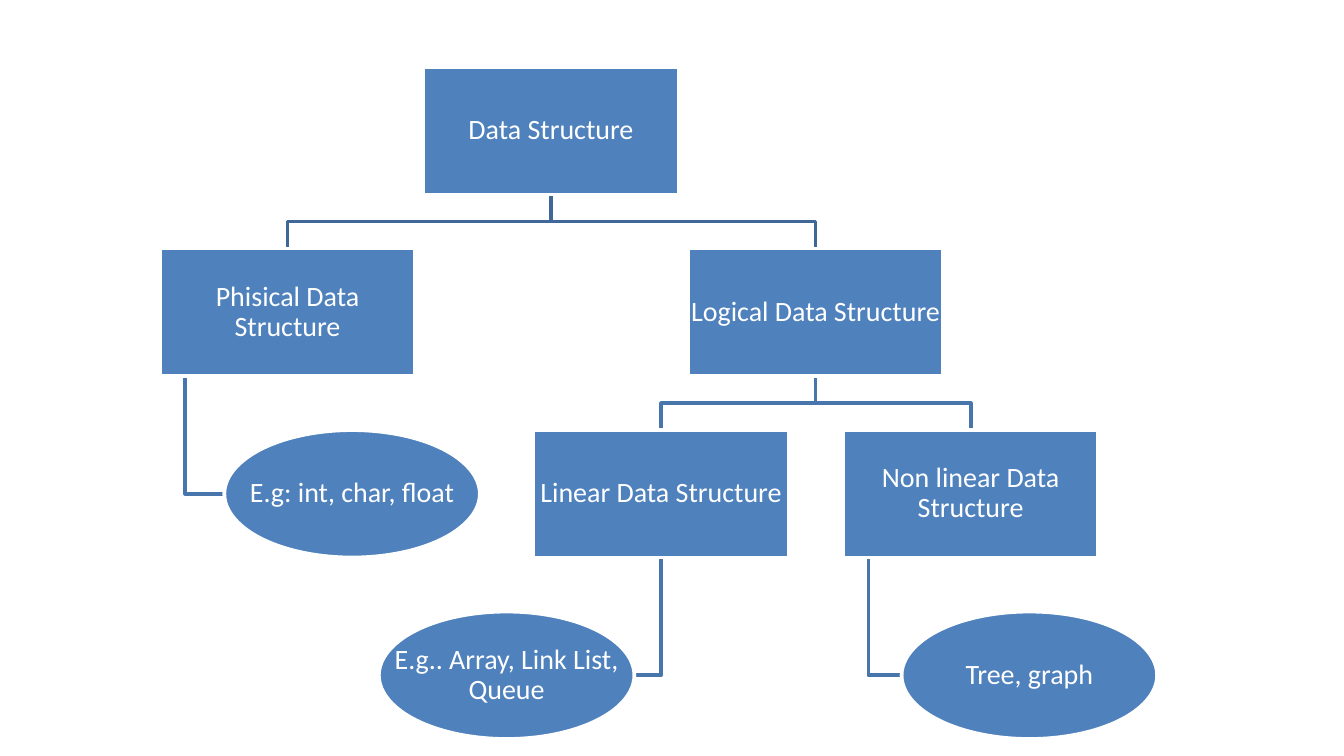
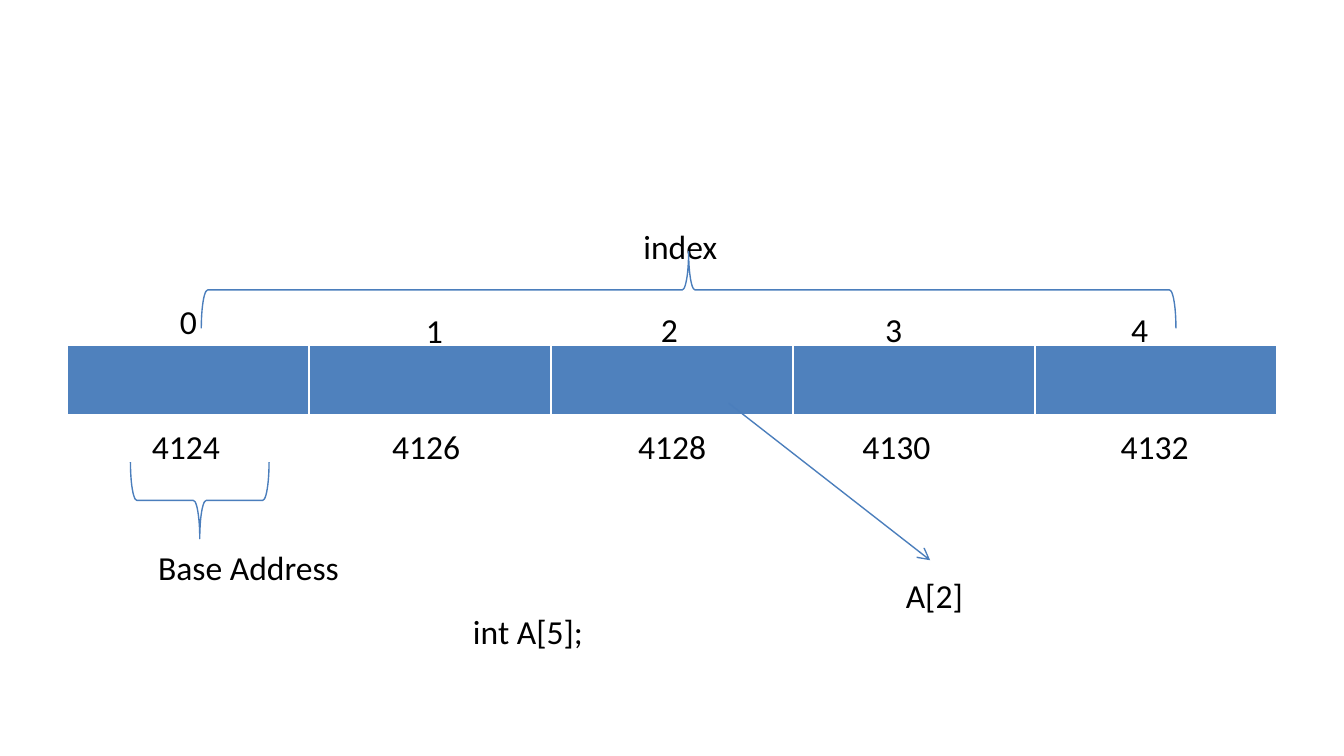
from lxml import etree
from pptx import Presentation
from pptx.dml.color import RGBColor
from pptx.enum.shapes import MSO_CONNECTOR, MSO_SHAPE
from pptx.enum.text import MSO_ANCHOR, MSO_AUTO_SIZE, PP_ALIGN
from pptx.oxml.ns import qn
from pptx.util import Cm, Pt

RECT, OVAL, BRACE = MSO_SHAPE.RECTANGLE, MSO_SHAPE.OVAL, MSO_SHAPE.RIGHT_BRACE
STRAIGHT = MSO_CONNECTOR.STRAIGHT
MIDDLE, CENTER = MSO_ANCHOR.MIDDLE, PP_ALIGN.CENTER
GROW = MSO_AUTO_SIZE.SHAPE_TO_FIT_TEXT

FONT = "Calibri"
BLUE, WHITE, BLACK = "4F81BD", "FFFFFF", "000000"
DARK, MID, THIN = "3F6797", "4875AC", "4B7EBC"


def hue(code):
    return RGBColor.from_string(code)


def write(frame, text, size, color):
    """Add one styled run to the first paragraph and return the paragraph."""
    para = frame.paragraphs[0]
    run = para.add_run()
    run.text = text
    run.font.name = FONT
    run.font.size = Pt(size)
    run.font.color.rgb = hue(color)
    return para


deck = Presentation()
deck.slide_width, deck.slide_height = Cm(25.4), Cm(14.29)
blank = deck.slide_layouts[6]

# Slide 1: tree of data structures
tree = deck.slides.add_slide(blank).shapes
WIDE, HIGH, GAP, TOP = 4.83, 2.41, 1.02, 1.27
STEP = HIGH + GAP

# name: (level, left, kind, text)
nodes = {
    "root": (0, 8, RECT, "Data Structure"),
    "phys": (1, 3.02, RECT, "Phisical Data Structure"),
    "types": (2, 4.24, OVAL, "E.g: int, char, float"),
    "logic": (1, 13, RECT, "Logical Data Structure"),
    "line": (2, 10.08, RECT, "Linear Data Structure"),
    "lists": (3, 7.16, OVAL, "E.g.. Array, Link List, Queue"),
    "other": (2, 15.93, RECT, "Non linear Data Structure"),
    "graphs": (3, 17.04, OVAL, "Tree, graph"),
}
links = [
    ("other", "graphs"), ("logic", "other"), ("line", "lists"),
    ("logic", "line"), ("root", "logic"), ("phys", "types"), ("root", "phys"),
]

for head, kid in links:
    level, left = nodes[head][:2]
    kind, side = nodes[kid][2], nodes[kid][1]
    base = TOP + level * STEP + HIGH
    mid, end = left + WIDE / 2, side + WIDE / 2
    if kind == RECT:
        bend = base + GAP / 2
        points = [(mid, base), (mid, bend), (end, bend), (end, base + GAP)]
    else:
        low = base + GAP + HIGH / 2
        # An oval to the left hangs from the middle, one to the right from a tenth
        start, edge = (mid, side + WIDE) if side < left else (left + WIDE / 10, side)
        points = [(start, base), (start, low), (edge, low)]
    points = [(Cm(x), Cm(y)) for x, y in points]
    path = tree.build_freeform(*points[0])
    path.add_line_segments(points[1:], close=False)
    link = path.convert_to_shape()
    link.shadow.inherit = False
    link.fill.background()
    link.line.color.rgb = hue(MID if level else DARK)
    link.line.width = Pt(2)

for level, left, kind, text in nodes.values():
    place = Cm(left), Cm(TOP + level * STEP), Cm(WIDE), Cm(HIGH)
    node = tree.add_shape(kind, *place)
    node.shadow.inherit = False
    node.fill.solid()
    node.fill.fore_color.rgb = hue(BLUE)
    node.line.color.rgb = hue(WHITE)
    node.line.width = Pt(2)
    # Text over an oval uses the full width, so it gets its own box
    frame = (node if kind == RECT else tree.add_textbox(*place)).text_frame
    frame.word_wrap = True
    frame.vertical_anchor = MIDDLE
    frame.margin_left = frame.margin_right = Cm(0.03)
    frame.margin_top = frame.margin_bottom = Cm(0.03)
    para = write(frame, text, 15, WHITE)
    para.alignment = CENTER
    para.line_spacing = 0.9

# Slide 2: array in memory
array = deck.slides.add_slide(blank).shapes
COUNT = 5
table = array.add_table(1, COUNT, Cm(1.27), Cm(6.53), Cm(22.86), Cm(1.35)).table
table.first_row = table.horz_banding = False
for cell in table.iter_cells():
    cell.fill.solid()
    cell.fill.fore_color.rgb = hue(BLUE)
    props = cell._tc.get_or_add_tcPr()
    for spot, (side, width) in enumerate([("L", 1), ("R", 1), ("T", 1), ("B", 3)]):
        edge = etree.Element(qn("a:ln" + side), w=str(Pt(width)))
        fill = etree.SubElement(edge, qn("a:solidFill"))
        etree.SubElement(fill, qn("a:srgbClr"), val=WHITE)
        props.insert(spot, edge)

# (text, left, top, width)
labels = [
    ("index", 11.91, 4.14, 2.06),
    ("Base Address", 2.74, 10.21, 4.47),
    ("int A[5];", 8.69, 11.43, 2.82),
    ("A[2]", 16.87, 10.74, 1.65),
]
marks = [(3.15, 5.56), (7.8, 5.74), (12.24, 5.72), (16.48, 5.72), (21.13, 5.72)]
cells = [2.62, 7.16, 11.81, 16.05, 20.93]
for i in range(COUNT):
    labels.append((str(i), *marks[i], 0.86))
    labels.append((str(4124 + 2 * i), cells[i], 7.92, 1.93))

for text, left, top, width in labels:
    frame = array.add_textbox(Cm(left), Cm(top), Cm(width), Cm(1.02)).text_frame
    frame.word_wrap = False
    frame.auto_size = GROW
    write(frame, text, 18, BLACK)

for left, top, span, turn in [(3.05, 8.15, 2.62, 90), (12.29, -3.73, 18.42, 270)]:
    brace = array.add_shape(BRACE, Cm(left), Cm(top), Cm(1.45), Cm(span))
    brace.rotation = turn
    brace.shadow.inherit = False
    brace.fill.background()
    brace.line.color.rgb = hue(THIN)
    brace.line.width = Pt(0.75)

arrow = array.add_connector(STRAIGHT, Cm(13.77), Cm(7.62), Cm(17.58), Cm(10.59))
arrow.line.color.rgb = hue(THIN)
arrow.line.width = Pt(0.75)
etree.SubElement(arrow.line._get_or_add_ln(), qn("a:tailEnd"), type="arrow")
etree.SubElement(arrow._element.spPr, qn("a:effectLst"))

deck.save("out.pptx")
